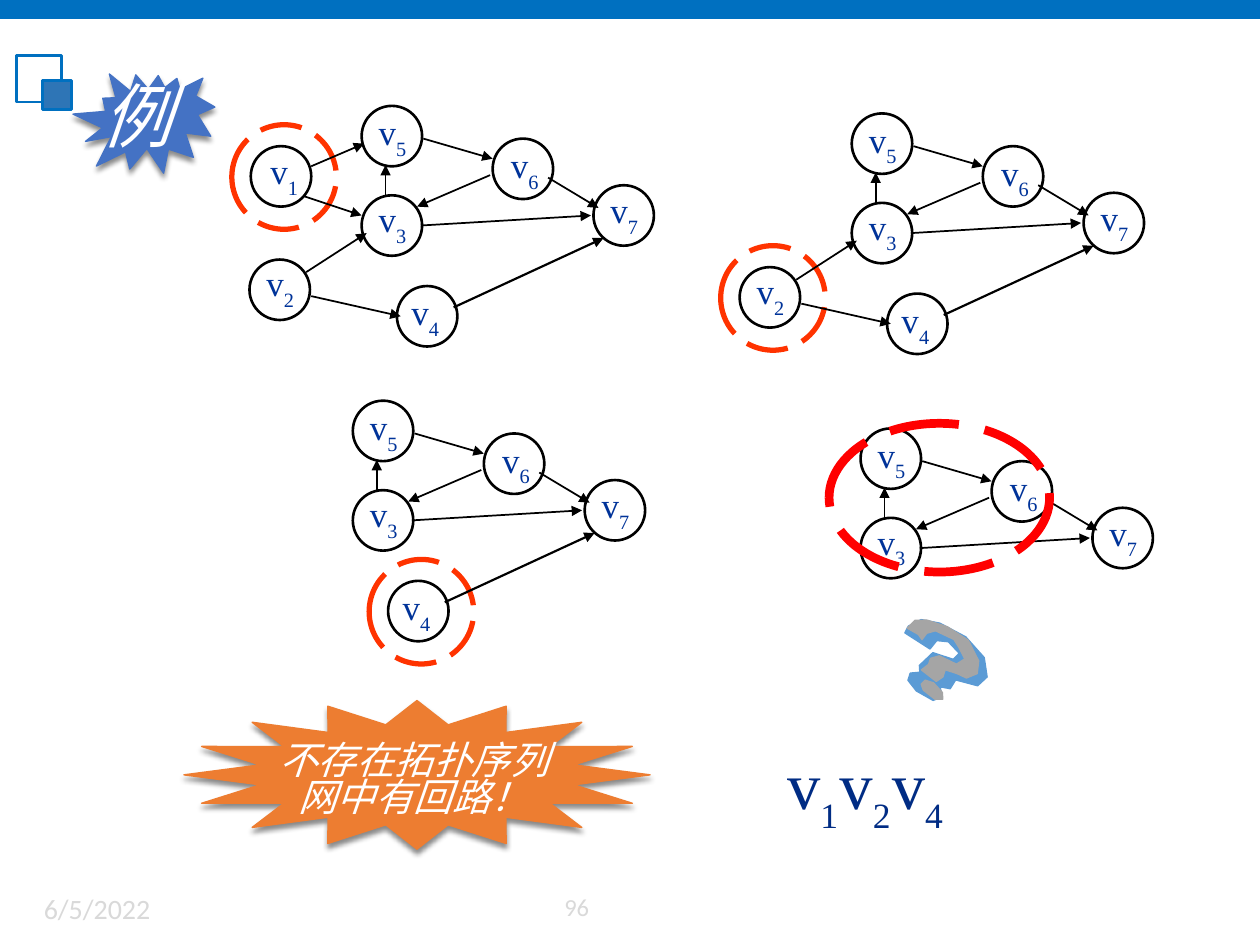
from lxml import etree
from pptx import Presentation
from pptx import util as u
from pptx.dml.color import RGBColor
from pptx.enum import dml, shapes, text
from pptx.oxml.ns import qn

COLORS = {
    "bar": "0070C0", "square": "2E75B6", "footer": "D9D9D9", "ink": "000000",
    "label": "003399", "result": "002C84", "ring": "FF3300", "cycle": "FF0000",
    "seal": "4472C4", "star": "ED7D31", "white": "FFFFFF",
    "mark_edge": "5B9BD5", "mark_face": "A5A5A5",
}
COLUMNS, ROWS = 100, 75
SERIF, SANS = "Times New Roman", "Calibri"
NODE, RING, LABEL = 4.8, 8.3, 4.3

# Node: circle corner in the graph's box, then the label's shift from it
NODES = {
    1: (0.1, 3.2, 0.5, -0.2), 2: (0, 12.2, 0.3, -0.3), 3: (8.9, 7.1, 0.3, -0.3),
    4: (11.7, 14.3, 0.1, -0.1), 5: (8.9, 0, 0.3, -0.1), 6: (19.3, 2.6, 0.4, -0.1),
    7: (27.3, 6.3, 0.3, -0.2),
}
EDGES = {
    (2, 3): (4.5, 13.2, 9.3, 10.1), (1, 3): (4.4, 7.2, 8.9, 8.7),
    (2, 4): (4.9, 15.1, 12, 16.7), (5, 6): (13.8, 2.6, 19.3, 4.2),
    (3, 7): (13.6, 9.5, 27.1, 8.7), (6, 7): (23.7, 5.7, 27.7, 8.1),
    (4, 7): (16.2, 16, 28.1, 10.5), (1, 5): (4.9, 4.8, 9.1, 3),
    (6, 3): (19.1, 5.5, 13.3, 8), (3, 5): (10.8, 7.2, 10.8, 4.7),
}
# Graph box corner, removed nodes, node ringed as the next to remove
STAGES = [
    (19.8, 8.4, set(), 1), (58.7, 9, {1}, 2),
    (19.1, 31.8, {1, 2}, 4), (59.4, 34, {1, 2, 4}, None),
]
# Outlines in inches from the corner of the question mark's box
MARK_PARTS = [
    ("mark_edge", [
        (.30, .14), (.39, .12), (.50, .18), (.47, .24), (.30, .24), (.23, .37), (.25, .42),
        (.18, .45), (.18, .51), (.27, .57), (.42, .60), (.48, .55), (.44, .48), (.52, .47),
        (.54, .39), (.72, .38), (.77, .29), (.70, .15), (.51, .04), (.28, 0), (.13, .02),
        (.05, .10), (.04, .16), (.27, .22)]),
    ("mark_face", [
        (.07, .11), (.17, .13), (.21, .16), (.23, .10), (.29, .06), (.45, .08), (.51, .13),
        (.58, .20), (.53, .26), (.38, .24), (.32, .28), (.32, .33), (.28, .39), (.42, .44),
        (.46, .39), (.46, .33), (.56, .33), (.64, .34), (.71, .28), (.69, .18), (.56, .05),
        (.37, 0), (.20, 0), (.11, .03)]),
    ("mark_face", [
        (.31, .45), (.24, .45), (.22, .49), (.25, .53), (.36, .57), (.42, .55), (.40, .50)]),
]

deck = Presentation()
deck.slide_width, deck.slide_height = u.Inches(10), u.Inches(7.5)
page = deck.slides.add_slide(deck.slide_layouts[6])


def grid(*lengths):
    """Turn alternating column and row counts into slide lengths."""
    units = (deck.slide_width / COLUMNS, deck.slide_height / ROWS)
    return [round(length * units[i % 2]) for i, length in enumerate(lengths)]


def color(name):
    return RGBColor.from_string(COLORS[name])


def paint(shape, fill=None, line=None, width=1.5, dash=None):
    shape.shadow.inherit = False
    if fill:
        shape.fill.solid()
        shape.fill.fore_color.rgb = color(fill)
    else:
        shape.fill.background()
    if line:
        shape.line.color.rgb = color(line)
        shape.line.width = u.Pt(width)
        shape.line.dash_style = dash
    else:
        shape.line.fill.background()


def add_preset(kind, box, **look):
    shape = page.shapes.add_shape(kind, *grid(*box))
    paint(shape, **look)
    return shape


def add_dashed_ring(box, line, width):
    add_preset(shapes.MSO_SHAPE.OVAL, box, line=line, width=width,
               dash=dml.MSO_LINE.LONG_DASH)


def drop_shadow(shape):
    effects = shape._element.spPr.find(qn("a:effectLst"))
    shadow = etree.SubElement(effects, qn("a:outerShdw"), blurRad=str(u.Pt(3)),
                              dist=str(u.Pt(2.4)), dir="5400000", rotWithShape="0")
    tint = etree.SubElement(shadow, qn("a:srgbClr"), val=COLORS["ink"])
    etree.SubElement(tint, qn("a:alpha"), val="45000")


def style(span, size, name, font=SERIF, italic=None):
    span.font.size, span.font.name, span.font.italic = u.Pt(size), font, italic
    span.font.color.rgb = color(name)


def add_text(box, lines, size, name, font=SERIF, italic=None, middle=False):
    frame = page.shapes.add_textbox(*grid(*box)).text_frame
    frame.word_wrap = True
    if middle:
        frame.vertical_anchor = text.MSO_ANCHOR.MIDDLE
    frame.text = "\n".join(lines)
    for para in frame.paragraphs:
        style(para.runs[0], size, name, font, italic)
    return frame


def add_vertex_name(box, number, size, sub_size, name):
    """Write v with the number as its subscript."""
    frame = page.shapes.add_textbox(*grid(*box)).text_frame
    frame.word_wrap = False
    frame.auto_size = text.MSO_AUTO_SIZE.SHAPE_TO_FIT_TEXT
    para = frame.paragraphs[0]
    para.alignment = text.PP_ALIGN.CENTER
    for words, points in (("v", size), (str(number), sub_size)):
        span = para.add_run()
        span.text = words
        style(span, points, name)
    span.font._element.set("baseline", "-30000")


def add_arrow(ends, width):
    arrow = page.shapes.add_connector(shapes.MSO_CONNECTOR.STRAIGHT, *grid(*ends))
    arrow.line.color.rgb = color("ink")
    arrow.line.width = u.Pt(width)
    etree.SubElement(arrow.line._get_or_add_ln(), qn("a:tailEnd"), type="triangle")
    etree.SubElement(arrow._element.spPr, qn("a:effectLst"))


def add_graph(left, top, removed, ringed):
    for number, (x, y, dx, dy) in NODES.items():
        if number in removed:
            continue
        x, y = left + x, top + y
        add_preset(shapes.MSO_SHAPE.OVAL, (x, y, NODE, NODE), line="ink")
        add_vertex_name((x + dx, y + dy, LABEL, LABEL), number, 20, 20, "label")
        if number == ringed:
            add_dashed_ring((x - 1.5, y - 1.7, RING, RING), "ring", 3)
    for pair, (x1, y1, x2, y2) in EDGES.items():
        if not removed.intersection(pair):
            add_arrow((left + x1, top + y1, left + x2, top + y2),
                      1.25 if pair == (4, 7) else 1)


def add_frame():
    """Add the top bar, corner squares, date and page number."""
    square = shapes.MSO_SHAPE.RECTANGLE
    add_preset(square, (0, 0, COLUMNS, 1.5), fill="bar")
    add_preset(square, (1.3, 4.4, 3.6, 3.7), line="bar")
    add_preset(square, (3.4, 6.4, 2.3, 2.3), fill="square", line="bar")
    add_text((2.5, 70.3, 18.4, 4), ["6/5/2022"], 16, "footer", SANS)
    add_text((43.8, 70.3, 6.2, 3.8), ["96"], 14, "footer", SANS)


def add_question_mark(left, top):
    corner_x, corner_y = grid(left, top)
    for name, points in MARK_PARTS:
        outline = [(corner_x + u.Inches(x), corner_y + u.Inches(y)) for x, y in points]
        builder = page.shapes.build_freeform(*outline[0])
        builder.add_line_segments(outline[1:], close=True)
        part = builder.convert_to_shape()
        part.rotation = 18.1
        paint(part, fill=name, line=name, width=0.75)


def add_result(left, top):
    for place, number in enumerate((1, 2, 4)):
        add_vertex_name((left + 4.15 * place, top, 6.2, 7.3), number, 38, 35, "result")


def add_verdict(left, top):
    star = add_preset(shapes.MSO_SHAPE.STAR_16_POINT, (left, top, 37, 11.8),
                      fill="star", line="star", width=0.79)
    star.adjustments[0] = 0.343
    drop_shadow(star)
    frame = add_text((left + 6.6, top + 3, 29.4, 6.9), ["不存在拓扑序列", "网中有回路！"],
                     22, "white", italic=True, middle=True)
    for para in frame.paragraphs:
        para.line_spacing = 0.8
    frame.paragraphs[1]._p.get_or_add_pPr().set("marL", str(u.Inches(0.15)))


def add_example_badge(left, top):
    seal = add_preset(shapes.MSO_SHAPE.EXPLOSION2, (left, top, 10.7, 9.8),
                      fill="seal", line="seal", width=0.79)
    seal.rotation = 203.9
    drop_shadow(seal)
    add_text((left + 1, top + 0.6, 11.2, 7.7), ["例"], 40, "white", italic=True, middle=True)


add_frame()
for stage in STAGES:
    add_graph(*stage)
add_result(61.4, 58.5)
add_question_mark(70.8, 49.7)
add_verdict(14.6, 55.6)
add_example_badge(6.1, 4.6)
add_dashed_ring((65.8, 33.6, 17.5, 11.8), "cycle", 5)
deck.save("out.pptx")
